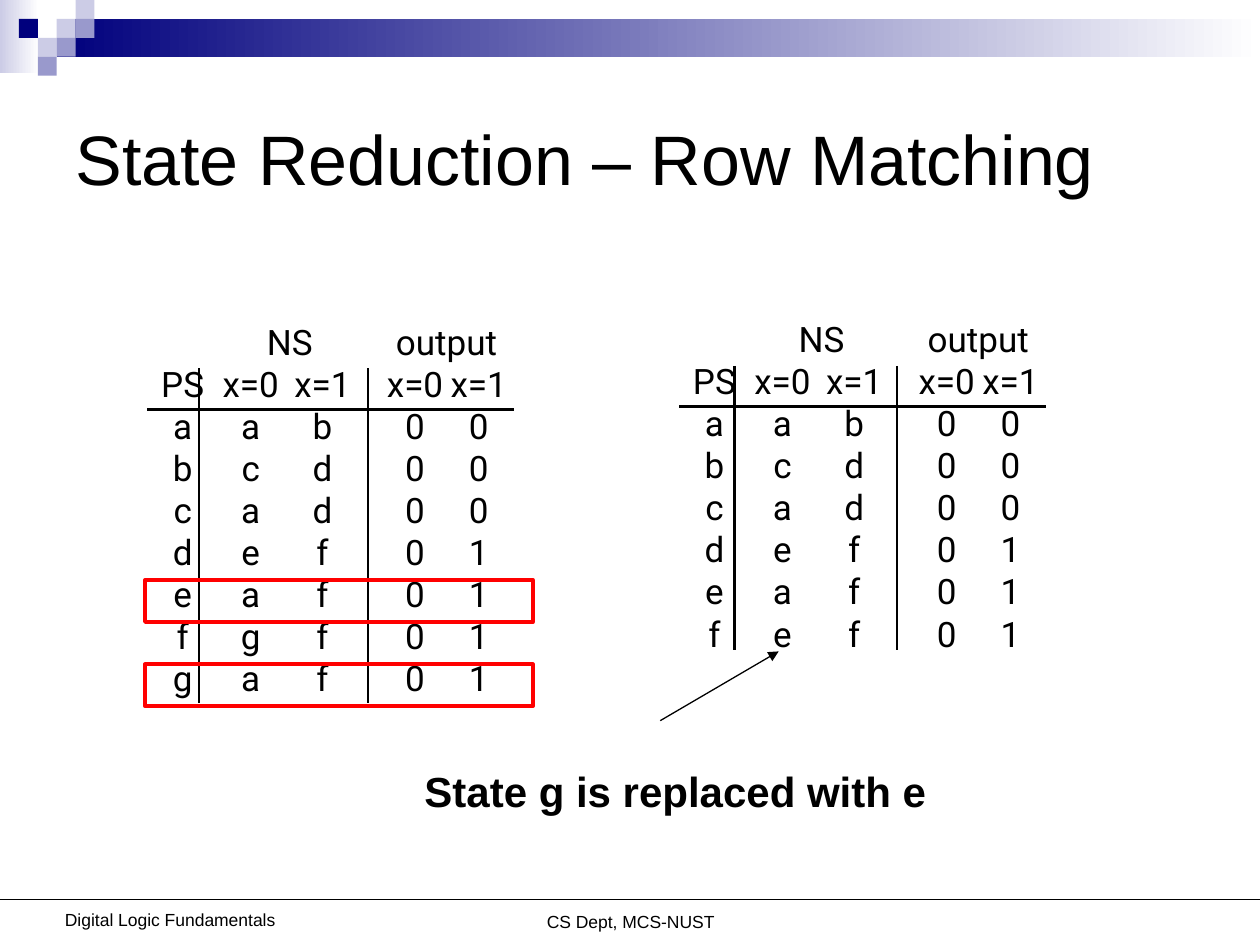
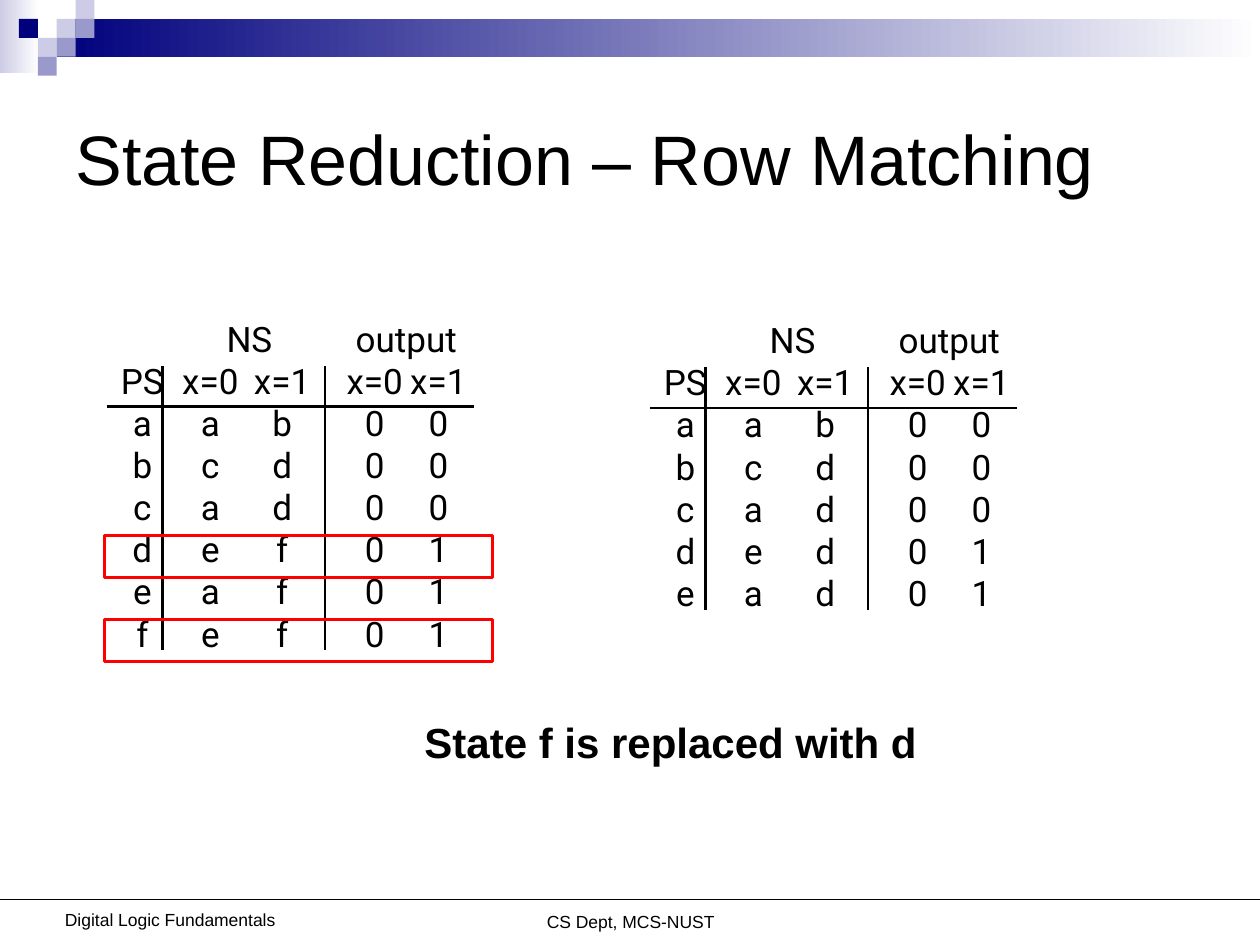
import dataclasses

import pptx
import pptx.dml.color
import pptx.enum.shapes
import pptx.enum.text
import pptx.oxml.ns
import pptx.util
from lxml import etree

ANCHOR = pptx.enum.text.MSO_ANCHOR
ALIGN = pptx.enum.text.PP_ALIGN
SHAPE = pptx.enum.shapes.MSO_SHAPE
qn = pptx.oxml.ns.qn


@dataclasses.dataclass(frozen=True)
class Theme:
    ink: str = "000000"
    paper: str = "FFFFFF"
    navy: str = "00007D"
    violet: str = "9999CC"
    lilac: str = "CCCCE6"
    mark: str = "FF0000"
    font: str = "Arial"
    table_font: str = "Roboto"
    title_size: int = 40
    caption_size: int = 24
    table_size: int = 20
    footer_size: int = 10
    plain_table: str = "{2D5ABB26-0587-4C30-8999-92F81FD0307C}"


T = Theme()

# The slide is a grid of 100 columns by 75 rows, each a tenth of an inch.
COLS, ROWS = 100, 75
TILE = 1.5                                # side of a corner square
LINE = 3.34                               # height of a state table row
STATE_COLS = (5.6, 5.2, 6.2, 6.8, 5.0)    # PS, NS x=0, x=1, output x=0, x=1
OUTPUT_INDENT = 1.7


def grid(*units):
    return [pptx.util.Inches(u / 10) for u in units]


def rgb(color):
    return pptx.dml.color.RGBColor.from_string(color)


def write(tf, text, size, font=T.font, bold=False, align=ALIGN.LEFT,
          anchor=ANCHOR.TOP, wrap=True):
    tf.word_wrap = wrap
    tf.vertical_anchor = anchor
    p = tf.paragraphs[0]
    p.alignment = align
    r = p.add_run()
    r.text = text
    r.font.name, r.font.size, r.font.bold = font, pptx.util.Pt(size), bold
    r.font.color.rgb = rgb(T.ink)


def rect(s, box, fill=None, fade_to=None, outline=None):
    sp = s.shapes.add_shape(SHAPE.RECTANGLE, *grid(*box))
    sp.shadow.inherit = False
    if fade_to:
        sp.fill.gradient()
        sp.fill.gradient_angle = 0
        for stop, color in zip(sp.fill.gradient_stops, (fill, fade_to)):
            stop.color.rgb = rgb(color)
    elif fill:
        sp.fill.solid()
        sp.fill.fore_color.rgb = rgb(fill)
    else:
        sp.fill.background()
    if outline:
        sp.line.color.rgb = rgb(outline)
        sp.line.width = pptx.util.Pt(2)
    else:
        sp.line.fill.background()


def line(s, start, end, width=1.5, arrow=False):
    cx = s.shapes.add_connector(pptx.enum.shapes.MSO_CONNECTOR.STRAIGHT,
                                *grid(*start, *end))
    cx.line.color.rgb = rgb(T.ink)
    cx.line.width = pptx.util.Pt(width)
    if arrow:
        etree.SubElement(cx.line._get_or_add_ln(), qn("a:tailEnd"), type="triangle")
    etree.SubElement(cx._element.spPr, qn("a:effectLst"))


def header_band(s):
    rect(s, (0, 0, 3.1, 5.8), T.lilac, fade_to=T.paper)
    rect(s, (3 * TILE, TILE, COLS - 3 * TILE, 2 * TILE), T.navy, fade_to=T.paper)
    tiles = [(3, 1, T.lilac), (4, 0, T.lilac), (4, 1, T.violet), (2, 2, T.lilac),
             (1, 1, T.navy), (3, 2, T.violet), (2, 3, T.violet)]
    for col, row, color in tiles:
        rect(s, (col * TILE, row * TILE, TILE, TILE), color)


def footer(s):
    notes = [("CS Dept, MCS-NUST", (29.2, 68.5, 41.7, 5.5)),
             ("Digital Logic Fundamentals", (3.5, 68.3, 20, 5.5))]
    for text, box in notes:
        tf = s.shapes.add_textbox(*grid(*box)).text_frame
        tf.margin_bottom = 0
        write(tf, text, T.footer_size, align=ALIGN.CENTER, anchor=ANCHOR.BOTTOM)
    line(s, (0, 71.4), (COLS, 71.4), width=0.75)


def title(s, text):
    sp = s.shapes.title
    sp.left, sp.top, sp.width, sp.height = grid(5, 5, 90, 15)
    sp.text_frame.auto_size = pptx.enum.text.MSO_AUTO_SIZE.NONE
    write(sp.text_frame, text, T.title_size, anchor=ANCHOR.MIDDLE)


def state_table(s, x, y, states, dividers=(4.4, 17.3), foot=-0.5, marked=""):
    """Each state is a word: present state, two next states, two outputs."""
    rows = [("", "NS", "", "output", ""), ("PS", "x=0", "x=1", "x=0", "x=1"), *states]
    height = LINE * len(rows)
    tbl = s.shapes.add_table(len(rows), len(STATE_COLS),
                             *grid(x, y, sum(STATE_COLS), height)).table
    tbl.first_row = tbl.horz_banding = False
    tbl._tbl.tblPr.find(qn("a:tableStyleId")).text = T.plain_table
    for col, width in zip(tbl.columns, STATE_COLS):
        col.width, = grid(width)
    for first in (1, 3):
        tbl.cell(0, first).merge(tbl.cell(0, first + 1))

    # Cells
    for i, row in enumerate(rows):
        tbl.rows[i].height, = grid(LINE)
        for j, text in enumerate(row):
            cell = tbl.cell(i, j)
            cell.fill.background()
            cell.margin_left, = grid(OUTPUT_INDENT if j == 3 else 0)
            cell.margin_right = cell.margin_top = cell.margin_bottom = 0
            write(cell.text_frame, text, T.table_size, font=T.table_font,
                  align=ALIGN.CENTER)

    # Rules
    rule = y + 2 * LINE + 0.2
    line(s, (x, rule), (x + 29.1, rule))
    for d in dividers:
        line(s, (x + d, y + LINE + 0.3), (x + d, y + height + foot))

    # Matching rows
    for i, row in enumerate(rows):
        if row[0] and row[0] in marked:
            rect(s, (x - 0.2, y + i * LINE + 0.4, 30.8, LINE), outline=T.mark)


def caption(s, y, text):
    tf = s.shapes.add_textbox(*grid(32.7, y, 41.8, 5)).text_frame
    write(tf, text, T.caption_size, bold=True, wrap=False)


def reduction_slide(prs, before, after, note, note_y, arrow=None):
    s = prs.slides.add_slide(prs.slide_layouts[5])
    header_band(s)
    footer(s)
    title(s, "State Reduction – Row Matching")
    state_table(s, **before)
    state_table(s, **after)
    caption(s, note_y, note)
    if arrow:
        line(s, *arrow, width=0.75, arrow=True)


def main():
    prs = pptx.Presentation()
    prs.slide_width, prs.slide_height = grid(COLS, ROWS)

    shared = ["aab00", "bcd00", "cad00", "def01", "eaf01"]
    without_g = shared + ["fef01"]
    reduction_slide(
        prs,
        dict(x=11.7, y=25.6, states=shared + ["fgf01", "gaf01"], marked="eg",
             dividers=(4.1, 17.5), foot=0.1),
        dict(x=53.9, y=25.4, states=without_g),
        "State g is replaced with e", 60.3,
        arrow=((52.4, 57.2), (61.8, 51.7)))
    reduction_slide(
        prs,
        dict(x=8.5, y=25.4, states=without_g, marked="df"),
        dict(x=51.6, y=25.5, states=shared[:3] + ["ded01", "ead01"]),
        "State f is replaced with d", 56.4)

    prs.save("out.pptx")


if __name__ == "__main__":
    main()
